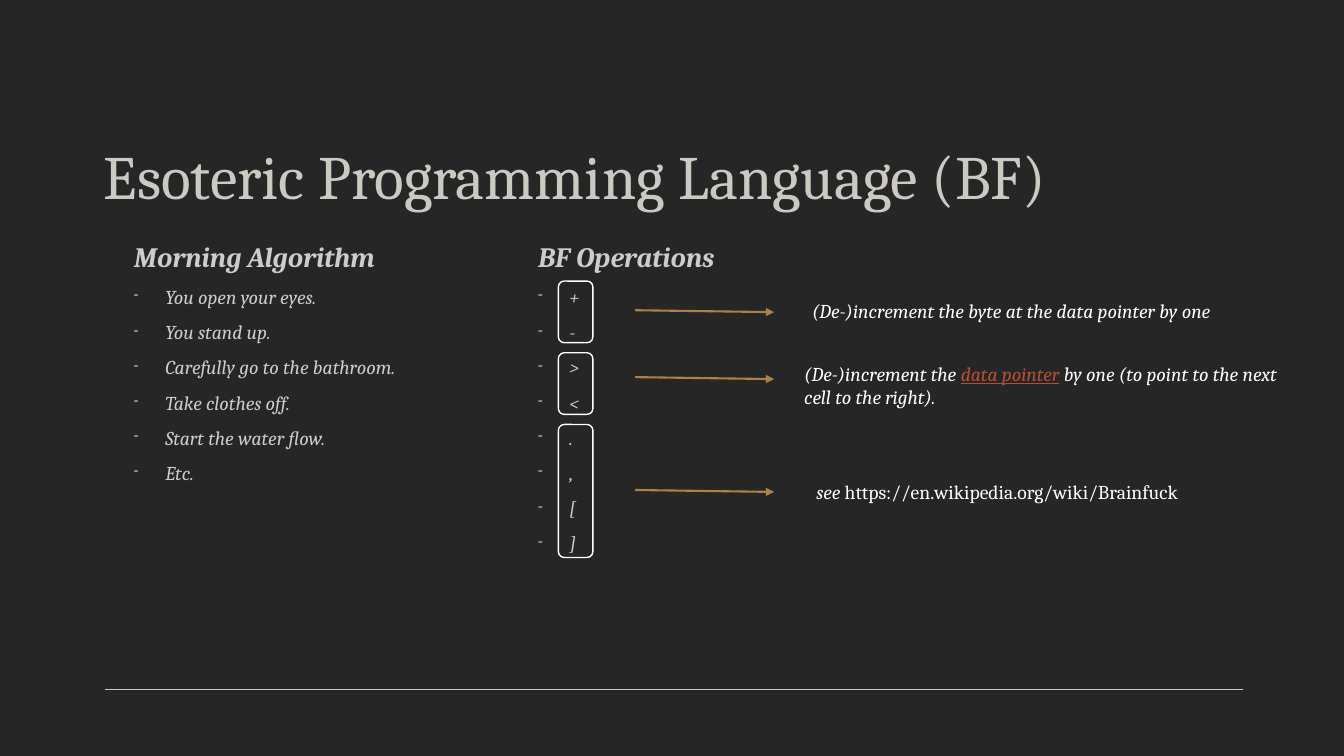
from lxml import etree
from pptx import Presentation
from pptx.dml.color import RGBColor
from pptx.enum.shapes import MSO_CONNECTOR, MSO_SHAPE
from pptx.enum.text import MSO_ANCHOR, MSO_AUTO_SIZE, PP_ALIGN
from pptx.oxml.ns import qn
from pptx.util import Pt

LINE, ROUND = MSO_CONNECTOR.STRAIGHT, MSO_SHAPE.ROUNDED_RECTANGLE
LEFT, BOTTOM, FIXED = PP_ALIGN.LEFT, MSO_ANCHOR.BOTTOM, MSO_AUTO_SIZE.NONE

FONT = "Cambria"
BACK, PALE, GREY, WHITE = "262626", "CCC9C2", "CCCCCC", "FFFFFF"
GOLD, RED = "AB8244", "B94F31"

TITLE = "Esoteric Programming Language (BF)"
LISTS = [
    ("Morning Algorithm", ["You open your eyes.", "You stand up.",
                           "Carefully go to the bathroom.", "Take clothes off.",
                           "Start the water flow.", "Etc."]),
    ("BF Operations", ["+", "-", ">", "<", ".", ",", "[", "]"]),
]
# frame height, arrow top, note left, note top, note runs (text, colour, italic)
GROUPS = [
    (44, 221.6, 573, 210.2,
     [("(De-)increment the byte at the data pointer by one", WHITE, True)]),
    (44, 269.4, 567.4, 254.8,
     [("(De-)increment the ", WHITE, True), ("data pointer", RED, True),
      (" by one (to point to the next cell to the right).", WHITE, True)]),
    (95, 350, 576, 339,
     [("see ", WHITE, True),
      ("https://en.wikipedia.org/wiki/Brainfuck", WHITE, False)]),
]
EDGE, LIST_TOP, LIST_W, LIST_H = 67, 162.8, 288.6, 307.4
FRAME_X, FRAME_TOP, FRAME_W, FRAME_GAP = 398.9, 200.8, 24.6, 7.2
ARROW_X, ARROW_W, DROP = 453.6, 99.4, 1.4


def tint(code):
    return RGBColor.from_string(code)


def style(font, size, color, bold=False, italic=False):
    font.name, font.size = FONT, Pt(size)
    font.bold, font.italic = bold, italic
    font.color.rgb = tint(color)


def add_text(x, y, w, h):
    frame = slide.shapes.add_textbox(Pt(x), Pt(y), Pt(w), Pt(h)).text_frame
    frame.word_wrap = True
    return frame


def add_rule(x, y, w, drop, color, width, arrow=False):
    rule = slide.shapes.add_connector(LINE, Pt(x), Pt(y), Pt(x + w), Pt(y + drop))
    rule.line.color.rgb = tint(color)
    rule.line.width = Pt(width)
    props = rule._element.spPr
    if arrow:
        etree.SubElement(props.find(qn("a:ln")), qn("a:tailEnd"), type="triangle")
    etree.SubElement(props, qn("a:effectLst"))


def indent(para, left, hang=0):
    """Set the margins, with a dash bullet where the first line hangs."""
    props = para._p.get_or_add_pPr()
    props.set("marL", str(Pt(left)))
    props.set("indent", str(Pt(-hang)))
    if hang:
        etree.SubElement(props, qn("a:buSzPct"), val="70000")
        etree.SubElement(props, qn("a:buChar"), char="-")


def add_list(x, head, items):
    frame = add_text(x, LIST_TOP, LIST_W, LIST_H)
    para = frame.paragraphs[0]
    para.text = head
    indent(para, 21.6)
    para.line_spacing = 1.2
    style(para.font, 20, GREY, True, True)
    for item in items:
        para = frame.add_paragraph()
        para.text = item
        indent(para, 44, 22.4)
        para.line_spacing, para.space_before = 1.2, Pt(5)
        style(para.font, 14, GREY, italic=True)


def add_frame(y, h):
    box = slide.shapes.add_shape(ROUND, Pt(FRAME_X), Pt(y), Pt(FRAME_W), Pt(h))
    box.shadow.inherit = False
    box.fill.background()
    box.line.color.rgb = tint(WHITE)
    box.line.width = Pt(1)


def add_note(x, y, parts):
    para = add_text(x, y, 360.8, 24.2).paragraphs[0]
    for text, color, italic in parts:
        run = para.add_run()
        run.text = text
        style(run.font, 14, color, italic=italic)
        if color == RED:
            run.font.underline = True


deck = Presentation()
deck.slide_width, deck.slide_height = Pt(960), Pt(540)
slide = deck.slides.add_slide(deck.slide_layouts[5])
slide.background.fill.solid()
slide.background.fill.fore_color.rgb = tint(BACK)

title = slide.shapes.title
title.left, title.top, title.width, title.height = Pt(EDGE), Pt(69), Pt(821), Pt(86)
frame = title.text_frame
frame.text = TITLE
frame.auto_size, frame.vertical_anchor = FIXED, BOTTOM
para = frame.paragraphs[0]
para.alignment = LEFT
style(para.font, 44, PALE)

add_rule(75, 492.4, 813, 0, PALE, 0.85)
for i, (head, items) in enumerate(LISTS):
    add_list(EDGE + i * LIST_W, head, items)

top = FRAME_TOP
for height, arrow_y, note_x, note_y, parts in GROUPS:
    add_frame(top, height)
    add_rule(ARROW_X, arrow_y, ARROW_W, DROP, GOLD, 1.5, arrow=True)
    add_note(note_x, note_y, parts)
    top += height + FRAME_GAP

deck.save("out.pptx")
